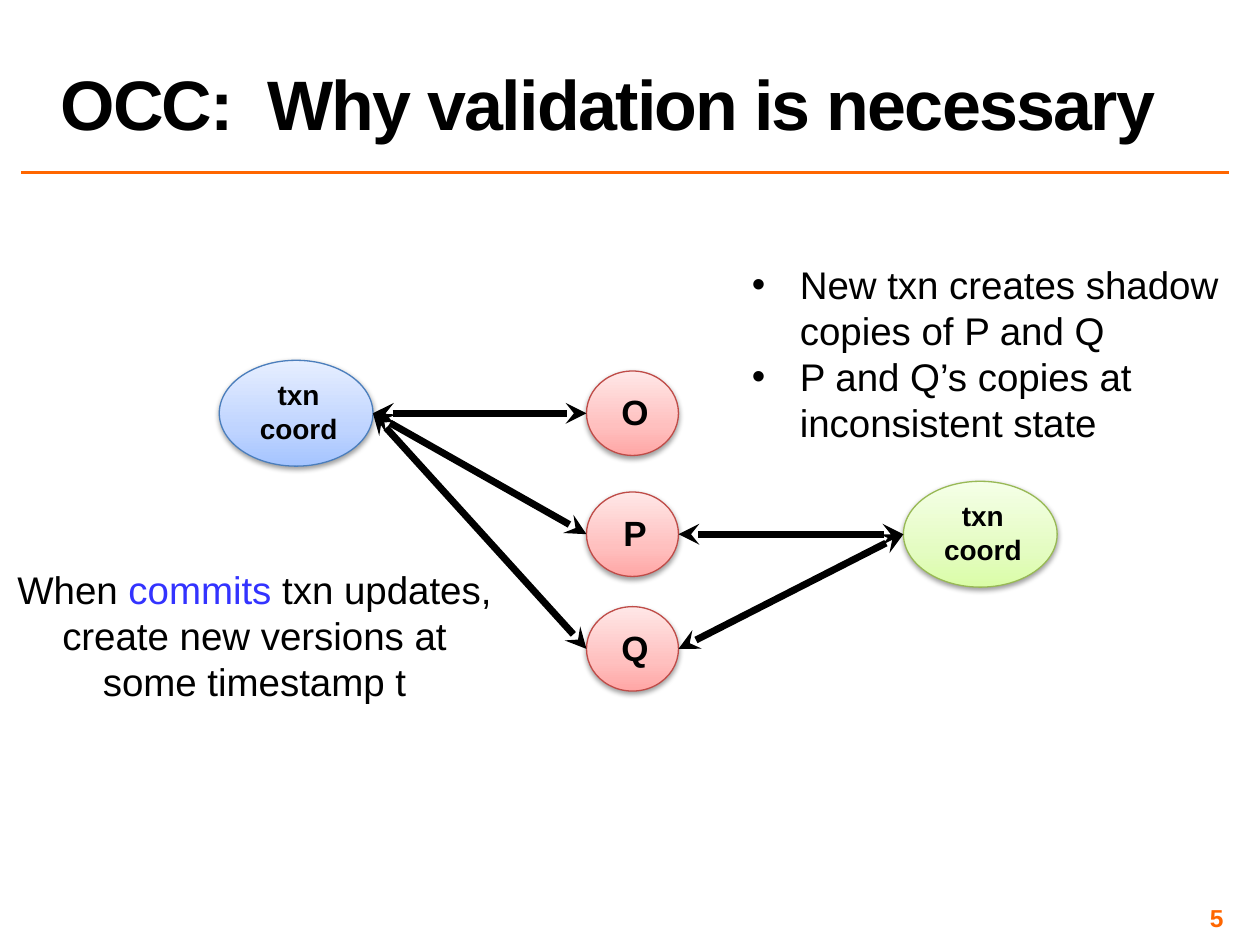
import copy
from dataclasses import dataclass

import pptx
import pptx.dml.color
import pptx.enum.shapes
import pptx.enum.text
import pptx.oxml
import pptx.oxml.ns
import pptx.util
from lxml import etree

Inches = pptx.util.Inches
Pt = pptx.util.Pt
qn = pptx.oxml.ns.qn
Align = pptx.enum.text.PP_ALIGN
Anchor = pptx.enum.text.MSO_ANCHOR


@dataclass(frozen=True)
class Palette:
    outline: str
    stops: tuple[str, str, str]


@dataclass(frozen=True)
class Theme:
    font: str = "Arial"
    black: str = "000000"
    accent: str = "FF6600"
    emphasis: str = "3333FF"
    title_size: int = 40
    note_size: int = 22
    object_size: int = 20
    coordinator_size: int = 16
    number_size: int = 14
    blue: Palette = Palette("4B7EBC", ("A4C4FF", "BFD4FF", "E6EEFF"))
    red: Palette = Palette("BF4C48", ("FFA6A5", "FFC0BF", "FFE7E7"))
    green: Palette = Palette("98B955", ("DAFDA7", "E4FCC2", "F5FFE7"))


THEME = Theme()
STOP_POSITIONS = (0, 0.35, 1)


@dataclass(frozen=True)
class Node:
    """A labelled ellipse, placed by its centre; label_box is the text box's size."""
    label: str
    x: float
    y: float
    width: float
    height: float
    palette: Palette
    size: int
    label_box: tuple[float, float]

    @property
    def left_end(self) -> tuple[float, float]:
        return self.x - self.width / 2, self.y

    @property
    def right_end(self) -> tuple[float, float]:
        return self.x + self.width / 2, self.y


def coordinator(x: float, y: float, palette: Palette) -> Node:
    return Node("txn coord", x, y, 1.22, 0.84, palette, THEME.coordinator_size, (0.95, 0.64))


def stored_object(label: str, y: float) -> Node:
    return Node(label, 5.02, y, 0.73, 0.67, THEME.red, THEME.object_size, (0.44, 0.44))


def rgb(color: str) -> pptx.dml.color.RGBColor:
    return pptx.dml.color.RGBColor.from_string(color)


def style_paragraph(paragraph, size: int, align=Align.LEFT, bold: bool = False,
                    color: str | None = THEME.black) -> None:
    """Leave the colour to the runs when color is None."""
    paragraph.alignment = align
    font = paragraph.font
    font.name, font.size, font.bold = THEME.font, Pt(size), bold
    if color:
        font.color.rgb = rgb(color)


def add_text_box(shapes, left: float, top: float, width: float, height: float):
    frame = shapes.add_textbox(*map(Inches, (left, top, width, height))).text_frame
    frame.word_wrap = True
    return frame


def add_shadow(shape) -> None:
    shape.shadow.inherit = False
    effects = shape._element.spPr.find(qn("a:effectLst"))
    shadow = etree.SubElement(effects, qn("a:outerShdw"), blurRad=str(Pt(3.1)),
                              dist=str(Pt(1.6)), dir="5400000", rotWithShape="0")
    color = etree.SubElement(shadow, qn("a:srgbClr"), val=THEME.black)
    etree.SubElement(color, qn("a:alpha"), val="38000")


def fill_gradient(shape, colors: tuple[str, str, str]) -> None:
    """Fill from the first colour at the bottom to the last at the top."""
    shape.fill.gradient()
    shape.fill.gradient_angle = 90
    stop_list = shape._element.spPr.find(qn("a:gradFill")).find(qn("a:gsLst"))
    stop_list.append(copy.deepcopy(stop_list[0]))
    for stop, position, color in zip(shape.fill.gradient_stops, STOP_POSITIONS, colors):
        stop.position = position
        stop.color.rgb = rgb(color)


def draw_node(slide, node: Node) -> None:
    shapes = slide.shapes.add_group_shape().shapes
    ellipse = shapes.add_shape(
        pptx.enum.shapes.MSO_SHAPE.OVAL,
        Inches(node.x - node.width / 2), Inches(node.y - node.height / 2),
        Inches(node.width), Inches(node.height))
    fill_gradient(ellipse, node.palette.stops)
    ellipse.line.color.rgb = rgb(node.palette.outline)
    ellipse.line.width = Pt(0.75)
    add_shadow(ellipse)

    width, height = node.label_box
    label = add_text_box(shapes, node.x + 0.02 - width / 2, node.y - 0.01 - height / 2,
                         width, height)
    label.text = node.label
    style_paragraph(label.paragraphs[0], node.size, Align.CENTER, bold=True)


def draw_line(slide, start: tuple[float, float], end: tuple[float, float],
              color: str, width: float, arrows: bool = False) -> None:
    line = slide.shapes.add_connector(pptx.enum.shapes.MSO_CONNECTOR.STRAIGHT,
                                      *map(Inches, (*start, *end)))
    line.line.color.rgb = rgb(color)
    line.line.width = Pt(width)
    if arrows:
        outline = line.line._get_or_add_ln()
        for end_tag in ("a:headEnd", "a:tailEnd"):
            etree.SubElement(outline, qn(end_tag), type="stealth")
    etree.SubElement(line._element.spPr, qn("a:effectLst"))


def draw_title(slide, text: str) -> None:
    title = slide.shapes.title
    title.left, title.top, title.width, title.height = map(Inches, (0.38, 0.02, 9.37, 1.17))
    frame = title.text_frame
    frame.text = text
    frame.auto_size = pptx.enum.text.MSO_AUTO_SIZE.NONE
    frame.vertical_anchor = Anchor.BOTTOM
    paragraph = frame.paragraphs[0]
    paragraph.line_spacing = 0.8
    style_paragraph(paragraph, THEME.title_size, bold=True)
    paragraph.runs[0].font._element.set("spc", "-100")


def draw_slide_number(slide, number: str) -> None:
    frame = add_text_box(slide.shapes, 7.42, 7.17, 2.33, 0.23)
    frame.margin_left = frame.margin_right = Inches(0.04)
    frame.margin_top = frame.margin_bottom = Inches(0.04)
    frame.vertical_anchor = Anchor.MIDDLE
    frame.text = number
    style_paragraph(frame.paragraphs[0], THEME.number_size, Align.RIGHT, True, THEME.accent)


def draw_commit_note(slide) -> None:
    frame = add_text_box(slide.shapes, 0.02, 4.44, 4, 1.21)
    opening = frame.paragraphs[0]
    for text, color in (("When ", THEME.black), ("commits ", THEME.emphasis),
                        ("txn updates,", THEME.black)):
        run = opening.add_run()
        run.text = text
        run.font.color.rgb = rgb(color)
    style_paragraph(opening, THEME.note_size, Align.CENTER, color=None)
    ending = frame.add_paragraph()
    ending.text = "create new versions at some timestamp t"
    style_paragraph(ending, THEME.note_size, Align.CENTER)


def draw_bullets(slide, items: tuple[str, ...]) -> None:
    frame = add_text_box(slide.shapes, 5.87, 2.02, 4.04, 1.58)
    frame.text = "\n".join(items)
    for paragraph in frame.paragraphs:
        properties = paragraph._p.get_or_add_pPr()
        properties.set("marL", str(Inches(0.38)))
        properties.set("indent", str(-Inches(0.38)))
        etree.SubElement(properties, qn("a:buFont"), typeface=THEME.font)
        etree.SubElement(properties, qn("a:buChar"), char="•")
        style_paragraph(paragraph, THEME.note_size)


def main() -> None:
    deck = pptx.Presentation()
    deck.slide_width, deck.slide_height = Inches(10), Inches(7.5)
    slide = deck.slides.add_slide(deck.slide_layouts[5])

    draw_line(slide, (0.17, 1.37), (9.75, 1.37), THEME.accent, 2)
    draw_slide_number(slide, "5")
    draw_title(slide, "OCC:  Why validation is necessary")

    old_txn = coordinator(2.35, 3.28, THEME.blue)
    new_txn = coordinator(7.78, 4.24, THEME.green)
    o, p, q = (stored_object(*row) for row in (("O", 3.28), ("P", 4.24), ("Q", 5.15)))
    for node in (old_txn, o, q, p, new_txn):
        draw_node(slide, node)

    draw_commit_note(slide)
    draw_bullets(slide, ("New txn creates shadow copies of P and Q",
                         "P and Q’s copies at inconsistent state"))

    links = [(old_txn.right_end, target.left_end) for target in (o, p, q)]
    links += [(new_txn.left_end, target.right_end) for target in (p, q)]
    for start, end in links:
        draw_line(slide, start, end, THEME.black, 4, arrows=True)

    deck.save("out.pptx")


if __name__ == "__main__":
    main()
